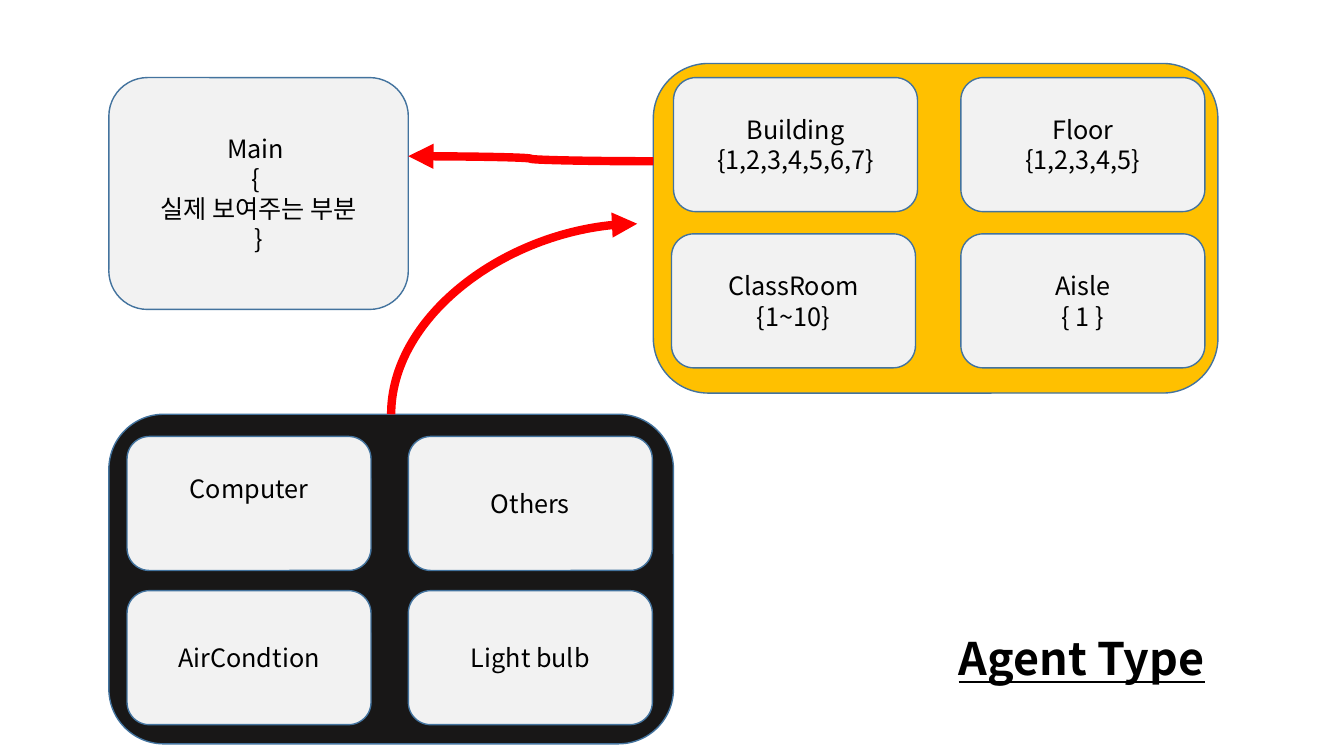
from dataclasses import dataclass

from lxml.etree import SubElement
from pptx import Presentation
from pptx.dml.color import RGBColor
from pptx.enum.shapes import MSO_CONNECTOR, MSO_SHAPE
from pptx.enum.text import MSO_ANCHOR, MSO_AUTO_SIZE, PP_ALIGN
from pptx.oxml.ns import qn
from pptx.slide import Slide
from pptx.text.text import _Paragraph
from pptx.util import Inches, Pt

FONT = "Noto Sans CJK KR"
COLORS = {
    "space_group": "FFC000",
    "device_group": "181717",
    "agent": "F2F2F2",
    "outline": "43739E",
    "arrow": "FF0000",
    "text": "000000",
}
GROUP_SIZE = (5.6, 3.27)
AGENT_SIZE = (2.42, 1.33)


@dataclass
class Box:
    left: float
    top: float
    size: tuple[float, float] = AGENT_SIZE
    lines: tuple[str, ...] = ()
    fill: str = "agent"
    bottom_inset: float = 0.05


@dataclass
class Arrow:
    start: tuple[float, float]
    end: tuple[float, float]
    quarter_turn: bool = False


BOXES = [
    Box(6.48, 0.63, GROUP_SIZE, fill="space_group"),
    Box(1.08, 4.11, GROUP_SIZE, fill="device_group"),
    Box(1.08, 0.77, (2.97, 2.3), ("Main ", "{ ", "실제 보여주는 부분", "}")),
    Box(6.68, 0.77, lines=("Building", "{1,2,3,4,5,6,7}")),
    Box(9.53, 0.77, lines=("Floor", "{1,2,3,4,5}")),
    Box(6.66, 2.32, lines=("ClassRoom", "{1~10}")),
    Box(9.53, 2.32, lines=("Aisle", "{ 1 }")),
    Box(1.26, 5.86, lines=("AirCondtion",)),
    Box(4.05, 5.86, lines=("Light bulb",)),
    Box(1.26, 4.33, lines=("Computer",), bottom_inset=0.35),
    Box(4.05, 4.33, lines=("Others",)),
]
ARROWS = [
    Arrow((3.88, 4.11), (6.32, 2.22), quarter_turn=True),
    Arrow((6.48, 1.6), (4.05, 1.55)),
]


def color(name: str) -> RGBColor:
    return RGBColor.from_string(COLORS[name])


def add_run(paragraph: _Paragraph, text: str, size: float, strong: bool = False) -> None:
    """Add a run; a strong run is bold and underlined."""
    run = paragraph.add_run()
    run.text = text
    run.font.size = Pt(size)
    run.font.name = FONT
    run.font.color.rgb = color("text")
    if strong:
        run.font.bold = True
        run.font.underline = True
    SubElement(run.font._element, qn("a:ea"), typeface=FONT)


def add_box(slide: Slide, box: Box) -> None:
    shape = slide.shapes.add_shape(
        MSO_SHAPE.ROUNDED_RECTANGLE,
        *(Inches(value) for value in (box.left, box.top, *box.size)),
    )
    shape.shadow.inherit = False
    shape.fill.solid()
    shape.fill.fore_color.rgb = color(box.fill)
    shape.line.color.rgb = color("outline")
    shape.line.width = Pt(1)
    frame = shape.text_frame
    frame.vertical_anchor = MSO_ANCHOR.MIDDLE
    frame.margin_bottom = Inches(box.bottom_inset)
    for index, line in enumerate(box.lines):
        paragraph = frame.add_paragraph() if index else frame.paragraphs[0]
        paragraph.alignment = PP_ALIGN.CENTER
        add_run(paragraph, line, 18)


def add_arrow(slide: Slide, arrow: Arrow) -> None:
    """Draw a curved arrow; a quarter turn makes it leave upwards."""
    (x1, y1), (x2, y2) = arrow.start, arrow.end
    if arrow.quarter_turn:
        # The frame is stored unrotated, so turn both ends back around its centre.
        center_x, center_y = (x1 + x2) / 2, (y1 + y2) / 2
        half_width, half_height = (x2 - x1) / 2, (y1 - y2) / 2
        x1, y1 = center_x + half_height, center_y + half_width
        x2, y2 = center_x - half_height, center_y - half_width
    connector = slide.shapes.add_connector(
        MSO_CONNECTOR.CURVE, *(Inches(value) for value in (x1, y1, x2, y2))
    )
    connector.line.color.rgb = color("arrow")
    connector.line.width = Pt(6)
    properties = connector._element.spPr
    if arrow.quarter_turn:
        properties.find(qn("a:xfrm")).set("rot", "5400000")
        properties.find(qn("a:prstGeom")).set("prst", "curvedConnector2")
    SubElement(properties.find(qn("a:ln")), qn("a:tailEnd"), type="triangle")
    SubElement(properties, qn("a:effectLst"))


def add_title(slide: Slide) -> None:
    title = slide.shapes.add_textbox(Inches(9.41), Inches(6.21), Inches(4.81), Inches(0.64))
    frame = title.text_frame
    frame.word_wrap = True
    frame.auto_size = MSO_AUTO_SIZE.SHAPE_TO_FIT_TEXT
    add_run(frame.paragraphs[0], "Agent Type", 32, strong=True)


def main() -> None:
    presentation = Presentation()
    presentation.slide_width = Inches(13.33)
    presentation.slide_height = Inches(7.5)
    slide = presentation.slides.add_slide(presentation.slide_layouts[6])
    for box in BOXES:
        add_box(slide, box)
    add_title(slide)
    for arrow in ARROWS:
        add_arrow(slide, arrow)
    presentation.save("out.pptx")


if __name__ == "__main__":
    main()
